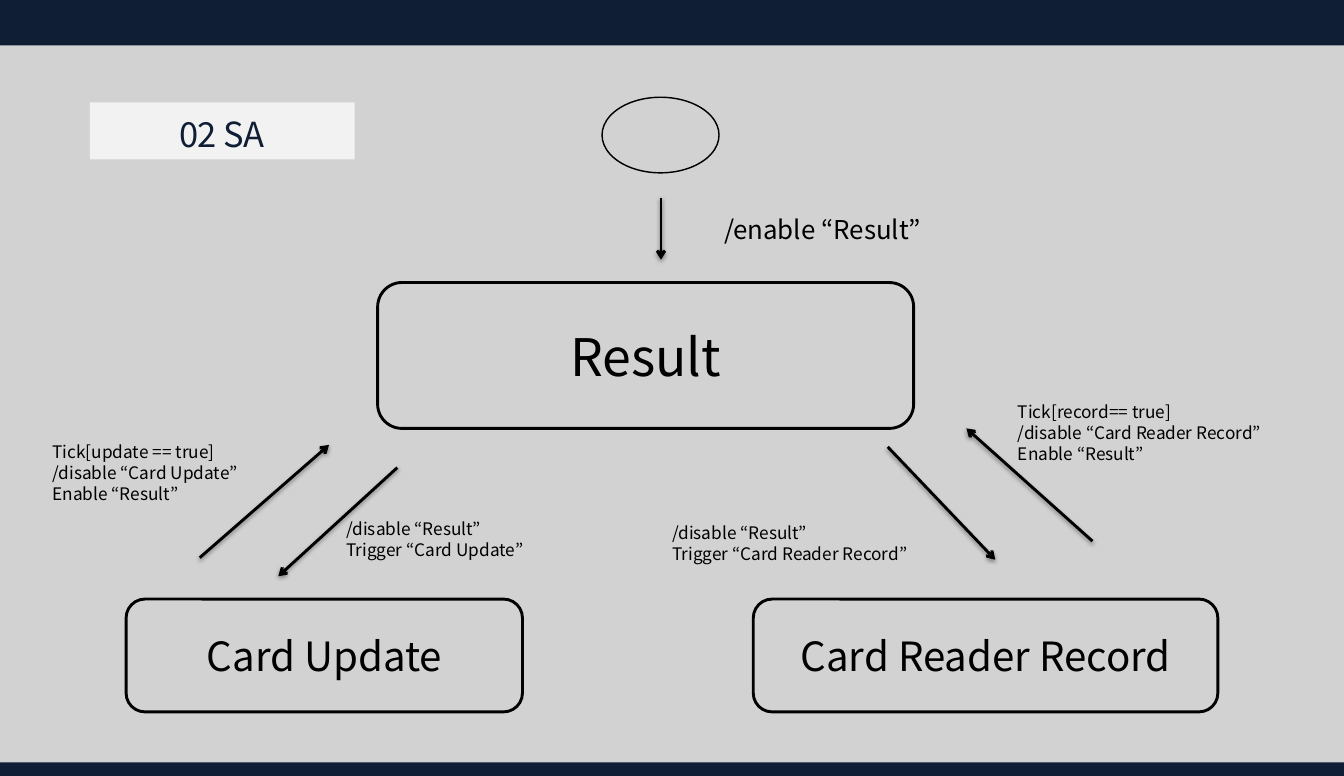
"""Build the state diagram slide of the card reader system analysis."""
import pptx
import pptx.dml.color
import pptx.enum.shapes
import pptx.enum.text
import pptx.oxml
import pptx.oxml.ns
import pptx.util

Pt = pptx.util.Pt
Shapes = pptx.enum.shapes.MSO_SHAPE
Align = pptx.enum.text.PP_ALIGN

FONT = "Noto Sans CJK KR"
NAVY, BLACK, GREY, PALE = "0F1E35", "000000", "D2D2D2", "F2F2F2"
WIDTH, HEIGHT = 935.28, 540

PANELS = [
    (PALE, (62.6, 71.3, 184.3, 39.6)),
    (NAVY, (0, 0, WIDTH, 31.7)),
    (NAVY, (0, 530.6, WIDTH, 9.4)),
]
TITLE = ("02 SA", (77, 74.9, 154.8, 36))
START = (419, 67.7, 81.4, 52.6)
STATES = [
    ("Result", 36, (262.8, 196.6, 373, 101.5)),
    ("Card Update", 28, (87.8, 416.9, 275.8, 78.5)),
    ("Card Reader Record", 28, (524.2, 416.9, 323.3, 78.5)),
]
ARROWS = [
    (460, 137.5, 460, 180.7),
    (276.5, 325.4, 193.7, 401),
    (617.8, 311, 692.6, 389.5),
    (139, 388.1, 229, 309.6),
    (760.3, 376.6, 672.5, 298.1),
]
LABELS = [
    (["/enable “Result”"], 18, (496.8, 145.4, 241.2)),
    (["/disable “Result”", "Trigger “Card Update”"], 12, (234, 357.1, 175.7)),
    (["/disable “Result”", "Trigger “Card Reader Record”"], 12, (460.8, 360, 234)),
    (["Tick[update == true]", "/disable “Card Update”", "Enable “Result”"], 12, (29.5, 303.8, 241.2)),
    (["Tick[record== true]", "/disable “Card Reader Record”", "Enable “Result”"], 12, (701.3, 275.8, 241.2)),
]
LINE_SPACING = 1.2
SHADOW = (
    '<a:outerShdw %s blurRad="39400" dist="20000" dir="5400000" rotWithShape="0">'
    '<a:srgbClr val="000000"><a:alpha val="38000"/></a:srgbClr></a:outerShdw>'
    % pptx.oxml.ns.nsdecls("a")
)


def colour(value):
    return pptx.dml.color.RGBColor.from_string(value)


def add_shape(slide, kind, place, fill=None, line_width=None):
    shape = slide.shapes.add_shape(kind, *map(Pt, place))
    shape.shadow.inherit = False
    if fill:
        shape.fill.solid()
        shape.fill.fore_color.rgb = colour(fill)
    else:
        shape.fill.background()
    if line_width:
        shape.line.color.rgb = colour(BLACK)
        shape.line.width = Pt(line_width)
    else:
        shape.line.fill.background()
    return shape


def write(shape, lines, size, ink=BLACK, align=Align.LEFT, spacing=None):
    frame = shape.text_frame
    frame.word_wrap = True
    for index, text in enumerate(lines):
        paragraph = frame.paragraphs[0] if index == 0 else frame.add_paragraph()
        paragraph.alignment = align
        if spacing:
            paragraph.line_spacing = Pt(spacing)
        run = paragraph.add_run()
        run.text = text
        run.font.size = Pt(size)
        run.font.name = FONT
        run.font.color.rgb = colour(ink)


def add_arrow(slide, points):
    straight = pptx.enum.shapes.MSO_CONNECTOR.STRAIGHT
    arrow = slide.shapes.add_connector(straight, *map(Pt, points))
    arrow.line.color.rgb = colour(BLACK)
    arrow.line.width = Pt(2)
    line = arrow.line._get_or_add_ln()
    line.append(pptx.oxml.parse_xml('<a:tailEnd %s type="arrow"/>' % pptx.oxml.ns.nsdecls("a")))
    effects = pptx.oxml.parse_xml("<a:effectLst %s/>" % pptx.oxml.ns.nsdecls("a"))
    effects.append(pptx.oxml.parse_xml(SHADOW))
    arrow._element.spPr.append(effects)


def main():
    presentation = pptx.Presentation()
    presentation.slide_width, presentation.slide_height = Pt(WIDTH), Pt(HEIGHT)
    slide = presentation.slides.add_slide(presentation.slide_layouts[6])
    slide.background.fill.solid()
    slide.background.fill.fore_color.rgb = colour(GREY)

    for fill, place in PANELS:
        add_shape(slide, Shapes.RECTANGLE, place, fill=fill)
    text, place = TITLE
    title = slide.shapes.add_textbox(*map(Pt, place))
    write(title, [text], 24, NAVY, Align.CENTER, 24 * LINE_SPACING)
    title.text_frame.paragraphs[0].runs[0].font._element.set("spc", "-50")

    add_shape(slide, Shapes.OVAL, START, line_width=1)
    for text, size, place in STATES:
        state = add_shape(slide, Shapes.ROUNDED_RECTANGLE, place, line_width=2)
        state.text_frame.vertical_anchor = pptx.enum.text.MSO_ANCHOR.MIDDLE
        write(state, [text], size, align=Align.CENTER)
    for points in ARROWS:
        add_arrow(slide, points)
    for lines, size, (left, top, width) in LABELS:
        spacing = size * LINE_SPACING
        height = len(lines) * spacing + 7.2
        label = slide.shapes.add_textbox(Pt(left), Pt(top), Pt(width), Pt(height))
        write(label, lines, size, spacing=spacing)

    presentation.save("out.pptx")


if __name__ == "__main__":
    main()
